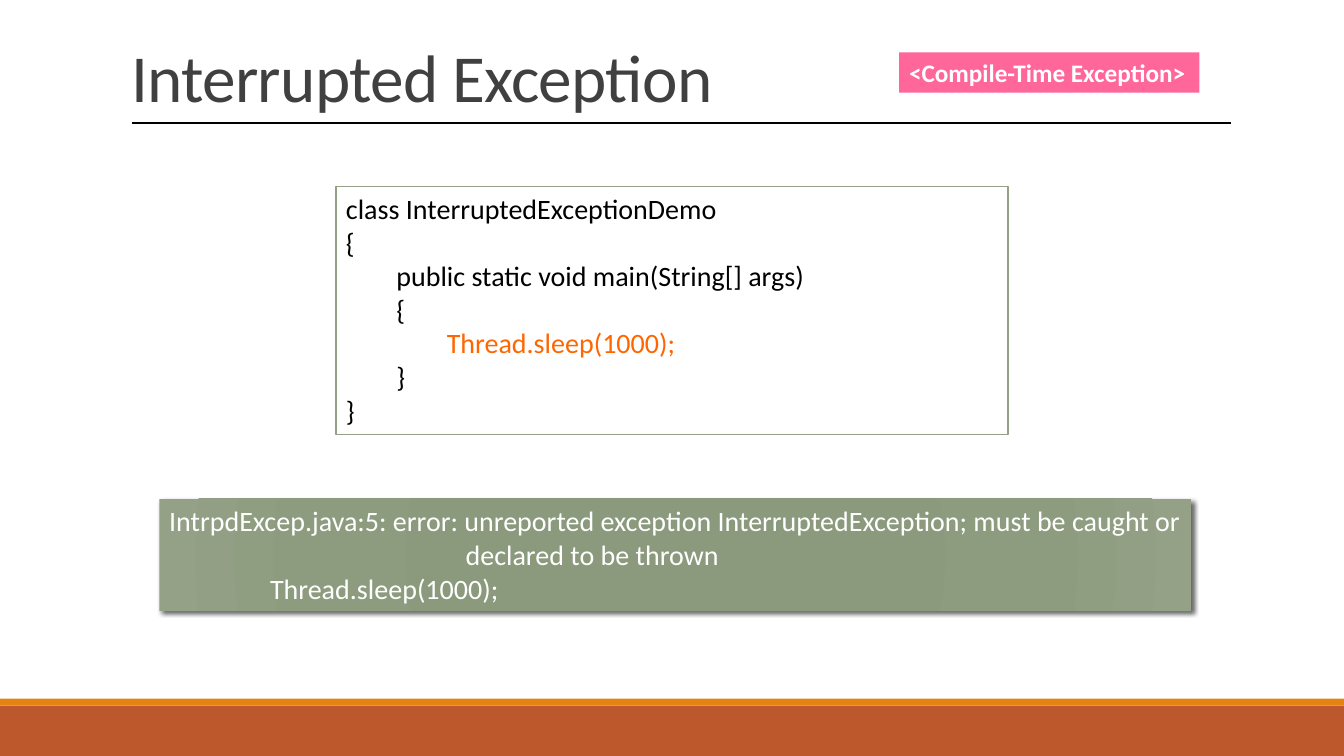
from lxml import etree
from pptx import Presentation
from pptx import util as u
from pptx.dml.color import RGBColor
from pptx.enum import shapes, text
from pptx.oxml import ns

FONT = "Calibri"
WHITE = RGBColor(0xFF, 0xFF, 0xFF)
BLACK = RGBColor(0, 0, 0)
GREY = RGBColor(0x40, 0x40, 0x40)
RUST = RGBColor(0xBD, 0x58, 0x2C)
AMBER = RGBColor(0xE4, 0x83, 0x12)
SAGE = RGBColor(0x94, 0xA0, 0x88)
ORANGE = RGBColor(0xFF, 0x66, 0x00)
PINK = RGBColor(0xFF, 0x66, 0x99)
SAGE_STOPS = [
    (0, RGBColor(0x8A, 0x98, 0x7B)),
    (34, RGBColor(0x8B, 0x99, 0x7D)),
    (70, RGBColor(0x8D, 0x9C, 0x7E)),
    (100, RGBColor(0x94, 0xA1, 0x87)),
]

prs = Presentation()
prs.slide_width, prs.slide_height = u.Inches(13.33), u.Inches(7.5)


def share(x, y, w, h):
    W, H = prs.slide_width, prs.slide_height
    return [int(v * full / 100) for v, full in ((x, W), (y, H), (w, W), (h, H))]


def child(parent, tag, **attrs):
    el = etree.SubElement(parent, ns.qn(tag))
    for name, value in attrs.items():
        el.set(name, str(value))
    return el


def add_run(p, words, size, color, bold=False):
    r = p.add_run()
    r.text = words
    r.font.name, r.font.size, r.font.bold = FONT, u.Pt(size), bold
    r.font.color.rgb = color
    return r


def add_panel(s, box, fill, line=None):
    sp = s.shapes.add_shape(shapes.MSO_SHAPE.RECTANGLE, *box)
    sp.shadow.inherit = False
    sp.fill.solid()
    sp.fill.fore_color.rgb = fill
    if line is None:
        sp.line.fill.background()
    else:
        sp.line.color.rgb = line
        sp.line.width = u.Pt(1.25)
    return sp


def add_lines(sp, lines, size, bold=False, wrap=True):
    tf = sp.text_frame
    tf.word_wrap = wrap
    tf.auto_size = text.MSO_AUTO_SIZE.SHAPE_TO_FIT_TEXT
    tf.vertical_anchor = text.MSO_ANCHOR.TOP
    for i, (words, color, margin, first) in enumerate(lines):
        p = tf.add_paragraph() if i else tf.paragraphs[0]
        p.alignment = text.PP_ALIGN.LEFT
        pPr = p._p.get_or_add_pPr()
        pPr.set("marL", str(u.Inches(margin)))
        pPr.set("indent", str(u.Inches(first)))
        add_run(p, words, size, color, bold)


def add_bands(s, y):
    add_panel(s, share(0, y, 100, 100 - y), RUST)
    add_panel(s, share(0, y - 0.93, 100, 0.93), AMBER)


def add_title(s, box):
    sp = s.shapes.title
    sp.left, sp.top, sp.width, sp.height = box
    tf = sp.text_frame
    tf.word_wrap = True
    tf.auto_size = text.MSO_AUTO_SIZE.NONE
    tf.vertical_anchor = text.MSO_ANCHOR.BOTTOM
    p = tf.paragraphs[0]
    p.alignment = text.PP_ALIGN.LEFT
    p.line_spacing = 0.85
    r = add_run(p, "Interrupted Exception", 48, GREY)
    r._r.get_or_add_rPr().set("spc", "-50")


def add_rule(s, box):
    x, y, w, h = box
    rule = s.shapes.add_connector(shapes.MSO_CONNECTOR.STRAIGHT, x, y, x + w, y + h)
    rule.line.color.rgb = BLACK
    rule.line.width = u.Pt(1)
    child(rule._element.spPr, "a:effectLst")


def add_code(s, box):
    code = [
        (0, "class InterruptedExceptionDemo", BLACK),
        (0, "{", BLACK),
        (1, "public static void main(String[] args)", BLACK),
        (1, "{", BLACK),
        (2, "Thread.sleep(1000);", ORANGE),
        (1, "}", BLACK),
        (0, "}", BLACK),
    ]
    lines = [(words, color, depth * 0.5, 0) for depth, words, color in code]
    add_lines(add_panel(s, box, WHITE, SAGE), lines, 20)


def add_error(s, box):
    sp = add_panel(s, box, SAGE)
    sp.fill.gradient()
    spPr = sp._element.spPr
    grad = spPr.find(ns.qn("a:gradFill"))
    for old in list(grad):
        grad.remove(old)
    stops = child(grad, "a:gsLst")
    for pos, color in SAGE_STOPS:
        child(child(stops, "a:gs", pos=pos * 1000), "a:srgbClr", val=color)
    path = child(grad, "a:path", path="circle")
    child(path, "a:fillToRect", l=100000, t=100000, r=100000, b=100000)
    shadow = child(spPr.find(ns.qn("a:effectLst")), "a:outerShdw",
                   blurRad=u.Pt(3.5), dist=u.Pt(2), dir=45 * 60000,
                   algn="tl", rotWithShape=0)
    child(child(shadow, "a:srgbClr", val=BLACK), "a:alpha", val=60000)
    add_lines(sp, [
        ("IntrpdExcep.java:5: error: unreported exception InterruptedException; "
         "must be caught or declared to be thrown", WHITE, 2.94, -2.94),
        ("Thread.sleep(1000);", WHITE, 1, 0),
    ], 20)


def add_tag(s, box):
    add_lines(add_panel(s, box, PINK), [("<Compile-Time Exception>", WHITE, 0, 0)],
              18, bold=True, wrap=False)


def main():
    s = prs.slides.add_slide(prs.slide_layouts[5])
    add_bands(s, 93.33)
    add_rule(s, share(9.82, 16.27, 81.76, 0))
    add_title(s, share(9, 3.33, 82.5, 12.67))
    add_code(s, share(25, 24.67, 50, 32.8))
    add_error(s, share(11.85, 66, 76.8, 14.8))
    add_tag(s, share(66.9, 6.93, 22.35, 5.33))
    prs.save("out.pptx")


if __name__ == "__main__":
    main()
